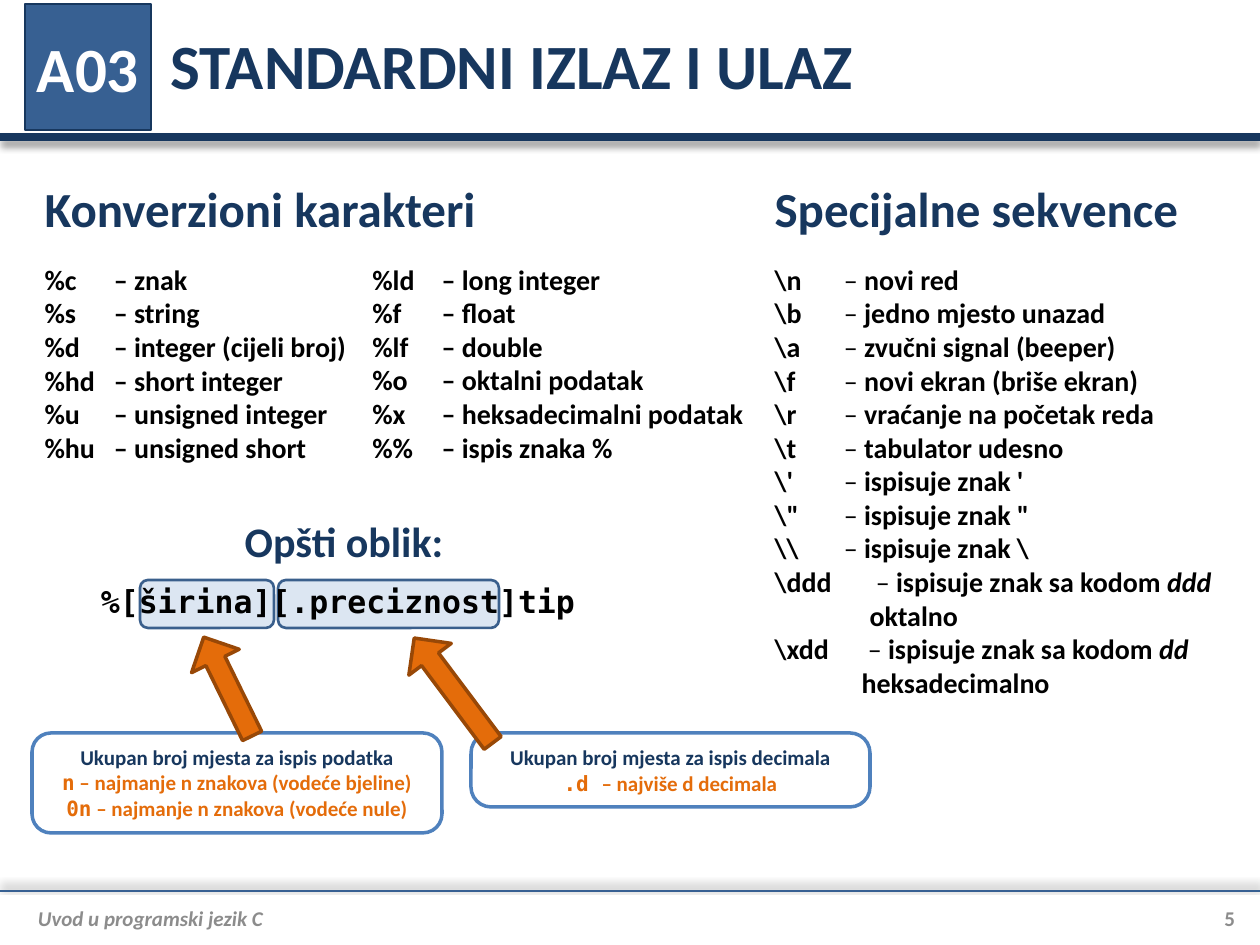
"""Build the slide on standard output and input in C."""
from dataclasses import dataclass, replace
from typing import Any, Optional, Sequence

from lxml import etree
from pptx import Presentation
from pptx.dml.color import RGBColor
from pptx.enum.shapes import MSO_CONNECTOR, MSO_SHAPE
from pptx.enum.text import MSO_ANCHOR, MSO_AUTO_SIZE, PP_ALIGN
from pptx.oxml.ns import qn
from pptx.util import Emu, Pt

PX_PER_INCH = 126
EMU_PER_INCH = 914400
COMPARISON_LAYOUT = 4
DASH_TAB = 63

NAVY = RGBColor(0x17, 0x37, 0x5E)
BLUE = RGBColor(0x37, 0x60, 0x92)
BRIGHT_BLUE = RGBColor(0x4F, 0x81, 0xBD)
EDGE_BLUE = RGBColor(0x3A, 0x5F, 0x8C)
PALE_BLUE = RGBColor(0xDC, 0xE6, 0xF2)
ORANGE = RGBColor(0xE4, 0x6C, 0x0A)
BROWN = RGBColor(0x98, 0x48, 0x07)
GREY = RGBColor(0x8C, 0x8C, 0x8C)
WHITE = RGBColor(0xFF, 0xFF, 0xFF)
BLACK = RGBColor(0, 0, 0)

LEFT, CENTER, RIGHT = PP_ALIGN.LEFT, PP_ALIGN.CENTER, PP_ALIGN.RIGHT
TOP, MIDDLE = MSO_ANCHOR.TOP, MSO_ANCHOR.MIDDLE
NO_FIT = MSO_AUTO_SIZE.NONE
STRAIGHT = MSO_CONNECTOR.STRAIGHT
RECTANGLE = MSO_SHAPE.RECTANGLE
ROUNDED = MSO_SHAPE.ROUNDED_RECTANGLE
RIGHT_ARROW = MSO_SHAPE.RIGHT_ARROW


@dataclass(frozen=True)
class Box:
    left: int
    top: int
    width: int
    height: int


@dataclass(frozen=True)
class Style:
    size: int
    color: RGBColor
    name: str = "Calibri"
    bold: bool = True
    italic: bool = False


@dataclass(frozen=True)
class Run:
    text: str
    style: Style


@dataclass(frozen=True)
class Line:
    runs: Sequence[Run]
    align: PP_ALIGN = LEFT
    hanging: int = 0
    tabs: Sequence[int] = ()


@dataclass(frozen=True)
class Term:
    code: str
    meaning: str
    argument: str = ""
    ending: str = ""
    hanging: int = 0


TITLE = Style(36, NAVY)
BADGE = Style(36, WHITE)
HEADING = Style(28, NAVY)
SUBHEADING = Style(24, NAVY)
ENTRY = Style(16, BLACK)
FORMULA = Style(18, BLACK, "DejaVu Sans Mono")
NOTE = Style(12, NAVY)
NOTE_RULE = replace(NOTE, color=ORANGE)
NOTE_CODE = replace(NOTE_RULE, name="DejaVu Sans Mono")
PAGE = Style(12, GREY)
FOOTER = replace(PAGE, italic=True)

TEXT_CONVERSIONS = [
    Term("%c", "znak"), Term("%s", "string"), Term("%d", "integer (cijeli broj)"),
    Term("%hd", "short integer"), Term("%u", "unsigned integer"), Term("%hu", "unsigned short"),
]
NUMBER_CONVERSIONS = [
    Term("%ld", "long integer"), Term("%f", "float"), Term("%lf", "double"),
    Term("%o", "oktalni podatak"), Term("%x", "heksadecimalni podatak"),
    Term("%%", "ispis znaka %"),
]
ESCAPES = [
    Term(r"\n", "novi red"), Term(r"\b", "jedno mjesto unazad"),
    Term(r"\a", "zvučni signal (beeper)"), Term(r"\f", "novi ekran (briše ekran)"),
    Term(r"\r", "vraćanje na početak reda"), Term(r"\t", "tabulator udesno"),
    Term(r"\'", "ispisuje znak '"), Term(r'\"', 'ispisuje znak "'),
    Term("\\\\", "ispisuje znak \\"),
    Term(r"\ddd", "ispisuje znak sa kodom ", "ddd ", "oktalno", 95),
    Term(r"\xdd", "ispisuje znak sa kodom ", "dd ", "heksadecimalno", 87),
]


def px(length: int) -> Emu:
    """Turn a length in px into EMU."""
    return Emu(round(length * EMU_PER_INCH / PX_PER_INCH))


def place(shape: Any, box: Box) -> None:
    """Move and size a shape."""
    for side in ("left", "top", "width", "height"):
        setattr(shape, side, px(getattr(box, side)))


def write(shape: Any, lines: Sequence[Line], anchor: MSO_ANCHOR = TOP,
          wrap: bool = True, inset: Optional[int] = None) -> None:
    """Fill a shape with formatted paragraphs."""
    frame = shape.text_frame
    settings = {"auto_size": NO_FIT, "word_wrap": wrap, "vertical_anchor": anchor}
    if inset is not None:
        settings.update(margin_left=px(inset), margin_top=0, margin_right=0, margin_bottom=0)
    for key, value in settings.items():
        setattr(frame, key, value)
    for index, line in enumerate(lines):
        paragraph = frame.add_paragraph() if index else frame.paragraphs[0]
        properties = paragraph._p.get_or_add_pPr()
        properties.set("marL", str(px(line.hanging)))
        properties.set("indent", str(px(-line.hanging)))
        etree.SubElement(properties, qn("a:buNone"))
        if line.tabs:
            tab_list = etree.SubElement(properties, qn("a:tabLst"))
            for stop in line.tabs:
                etree.SubElement(tab_list, qn("a:tab"), pos=str(px(stop)), algn="l")
        paragraph.alignment = line.align
        paragraph.space_before = Pt(0)
        for part in line.runs:
            run = paragraph.add_run()
            run.text = part.text
            style = part.style
            font_values = {"name": style.name, "size": Pt(style.size),
                           "bold": style.bold, "italic": style.italic}
            for key, value in font_values.items():
                setattr(run.font, key, value)
            run.font.color.rgb = style.color


def single(text: str, style: Style, align: PP_ALIGN = LEFT) -> list[Line]:
    """Give one paragraph in one style."""
    return [Line([Run(text, style)], align)]


def glossary(terms: Sequence[Term], dash: Style) -> list[Line]:
    """Give one tabbed paragraph for each term."""
    lines = []
    for term in terms:
        runs = [Run(term.code + "\t", ENTRY), Run(" – ", dash), Run(term.meaning, ENTRY)]
        if term.argument:
            runs += [Run(term.argument, replace(ENTRY, italic=True)), Run(term.ending, ENTRY)]
        lines.append(Line(runs, LEFT, term.hanging, [DASH_TAB]))
    return lines


def add_figure(slide: Any, kind: MSO_SHAPE, box: Box, fill: RGBColor, edge: RGBColor,
               weight: float, adjustments: Sequence[float] = (), rotation: float = 0) -> Any:
    """Draw a filled and outlined preset shape."""
    figure = slide.shapes.add_shape(kind, 0, 0, 0, 0)
    place(figure, box)
    figure.shadow.inherit = False
    figure.fill.solid()
    figure.fill.fore_color.rgb = fill
    figure.line.color.rgb = edge
    figure.line.width = Pt(weight)
    figure.rotation = rotation
    for index, value in enumerate(adjustments):
        figure.adjustments[index] = value
    return figure


def add_rule(slide: Any, top: int, color: RGBColor, weight: float, shadow_angle: int) -> None:
    """Draw a full-width line with a soft shadow."""
    rule = slide.shapes.add_connector(STRAIGHT, 0, px(top), px(1260), px(top))
    rule.line.color.rgb = color
    rule.line.width = Pt(weight)
    effects = etree.SubElement(rule._element.spPr, qn("a:effectLst"))
    shadow = etree.SubElement(effects, qn("a:outerShdw"), blurRad=str(Pt(4)), dist=str(Pt(3)),
                              dir=str(shadow_angle * 60000), rotWithShape="0")
    tint = etree.SubElement(shadow, qn("a:srgbClr"), val="000000")
    etree.SubElement(tint, qn("a:alpha"), val="40000")


def add_label(slide: Any, box: Box, lines: Sequence[Line], **layout: Any) -> None:
    """Add a text box."""
    label = slide.shapes.add_textbox(0, 0, 0, 0)
    place(label, box)
    write(label, lines, **layout)


def main() -> None:
    """Build and save the slide."""
    deck = Presentation()
    deck.slide_width, deck.slide_height = px(1260), px(945)
    slide = deck.slides.add_slide(deck.slide_layouts[COMPARISON_LAYOUT])
    light_dash = replace(ENTRY, bold=False)
    placeholder_content = {
        0: (Box(158, 1, 1077, 126), single("STANDARDNI IZLAZ I ULAZ", TITLE), MIDDLE),
        1: (Box(32, 176, 517, 63), single("Konverzioni karakteri", HEADING), MIDDLE),
        2: (Box(32, 256, 340, 217), glossary(TEXT_CONVERSIONS, ENTRY), TOP),
        3: (Box(762, 176, 432, 63), single("Specijalne sekvence", HEADING), MIDDLE),
        4: (Box(762, 256, 501, 454), glossary(ESCAPES, light_dash), TOP),
    }
    for index, (box, lines, anchor) in placeholder_content.items():
        place(slide.placeholders[index], box)
        write(slide.placeholders[index], lines, anchor)

    add_rule(slide, 137, NAVY, 4.5, 90)
    add_rule(slide, 891, BLUE, 1.5, 270)
    badge = add_figure(slide, RECTANGLE, Box(25, 4, 126, 126), BLUE, NAVY, 0.75)
    write(badge, single("A03", BADGE, CENTER), MIDDLE, inset=0)
    add_label(slide, Box(360, 256, 420, 217), glossary(NUMBER_CONVERSIONS, ENTRY))

    for left, width in ((140, 134), (278, 221)):
        add_figure(slide, ROUNDED, Box(left, 580, width, 48), PALE_BLUE, EDGE_BLUE, 1.5)
    add_label(slide, Box(140, 509, 408, 58), single("Opšti oblik:", SUBHEADING, CENTER))
    add_label(slide, Box(91, 580, 494, 42),
              single("%[širina][.preciznost]tip", FORMULA, CENTER), anchor=MIDDLE, wrap=False)

    callouts = [
        (Box(32, 733, 410, 100), 0.19, "Ukupan broj mjesta za ispis podatka",
         [("n", " – najmanje n znakova (vodeće bjeline)"),
          ("0n", " – najmanje n znakova (vodeće nule)")]),
        (Box(471, 733, 399, 74), 0.27, "Ukupan broj mjesta za ispis decimala",
         [(".d ", "– najviše d decimala")]),
    ]
    for box, rounding, heading, rules in callouts:
        callout = add_figure(slide, ROUNDED, box, WHITE, BRIGHT_BLUE, 2, [rounding])
        write(callout, single(heading, NOTE, CENTER) + [
            Line([Run(code, NOTE_CODE), Run(rule, NOTE_RULE)], CENTER) for code, rule in rules])

    for box, angle in ((Box(173, 660, 110, 53), 243.9), (Box(388, 664, 131, 53), 233.2)):
        add_figure(slide, RIGHT_ARROW, box, ORANGE, BROWN, 2, [0.4, 0.5], angle)

    add_label(slide, Box(25, 896, 1147, 44), single("Uvod u programski jezik C", FOOTER),
              anchor=MIDDLE, inset=13)
    add_label(slide, Box(1172, 896, 63, 44), single("5", PAGE, RIGHT), anchor=MIDDLE, inset=0)
    deck.save("out.pptx")


if __name__ == "__main__":
    main()
